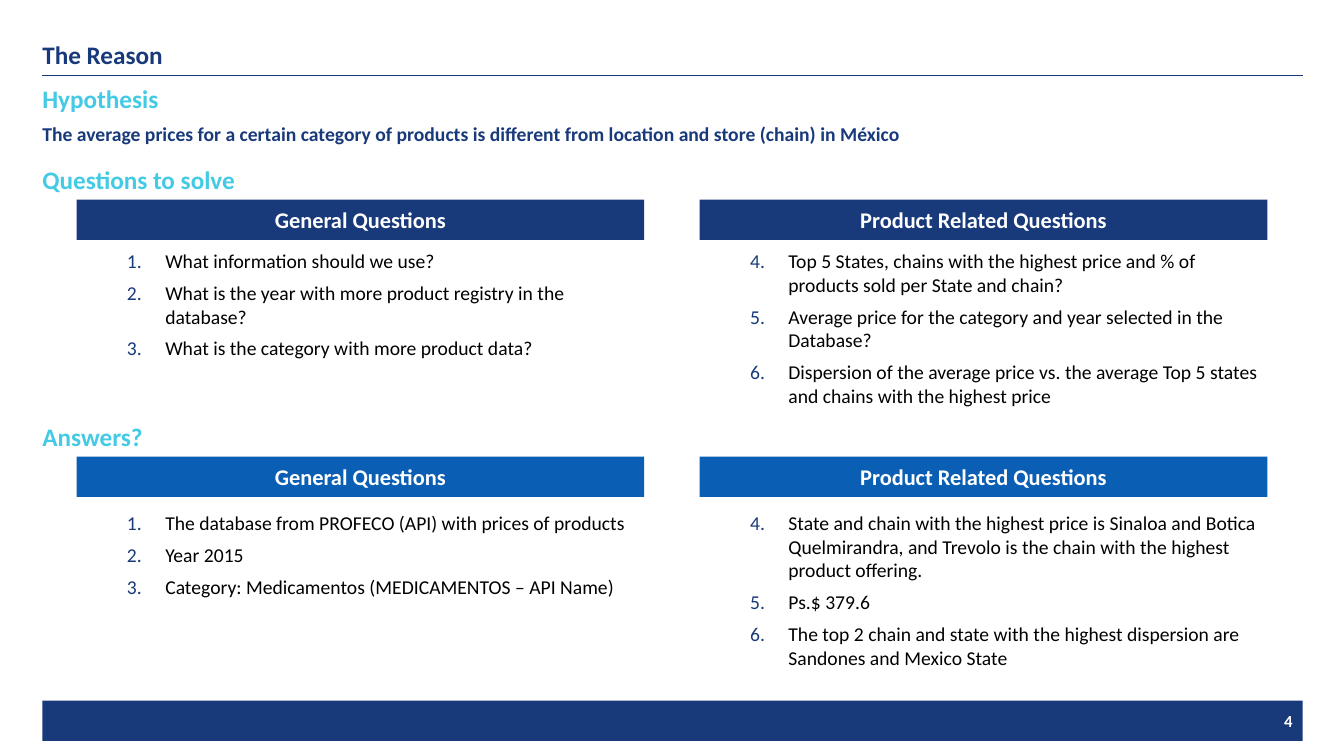
from lxml import etree
from pptx import Presentation
from pptx.dml.color import RGBColor
from pptx.enum.shapes import MSO_CONNECTOR, MSO_SHAPE
from pptx.enum.text import MSO_ANCHOR, MSO_AUTO_SIZE, PP_ALIGN
from pptx.oxml.ns import qn
from pptx.util import Inches, Pt

LEFT, CENTER, RIGHT = PP_ALIGN.LEFT, PP_ALIGN.CENTER, PP_ALIGN.RIGHT
TOP, MIDDLE = MSO_ANCHOR.TOP, MSO_ANCHOR.MIDDLE
RECTANGLE = MSO_SHAPE.RECTANGLE
STRAIGHT = MSO_CONNECTOR.STRAIGHT
NO_AUTOFIT = MSO_AUTO_SIZE.NONE

NAVY = RGBColor(0x18, 0x39, 0x7A)
BLUE = RGBColor(0x0A, 0x5F, 0xB4)
CYAN = RGBColor(0x43, 0xCA, 0xE5)
BLACK = RGBColor(0, 0, 0)
WHITE = RGBColor(255, 255, 255)

MARGIN, WIDTH = 0.42, 12.5
COLUMNS, COLUMN_WIDTH = (0.76, 6.94), 5.63
BAR_HEIGHT = 0.4


class SlideBuilder:
    font = "Calibri"

    def __init__(self, presentation):
        self.slide = presentation.slides.add_slide(presentation.slide_layouts[5])

    def add_run(self, paragraph, text, size, color, bold=True):
        run = paragraph.add_run()
        run.text = text
        run.font.name = self.font
        run.font.size = Pt(size)
        run.font.bold = bold
        run.font.color.rgb = color

    def prepare_frame(self, shape, anchor):
        frame = shape.text_frame
        frame.word_wrap = True
        frame.auto_size = NO_AUTOFIT
        frame.vertical_anchor = anchor
        frame.margin_left = frame.margin_right = 0
        frame.margin_top = frame.margin_bottom = 0
        return frame

    def add_box(self, left, top, width, height, anchor):
        box = self.slide.shapes.add_textbox(
            Inches(left), Inches(top), Inches(width), Inches(height))
        return self.prepare_frame(box, anchor)

    def title(self, text):
        shape = self.slide.shapes.title
        shape.left, shape.top = Inches(MARGIN), Inches(0.34)
        shape.width, shape.height = Inches(WIDTH), Inches(0.4)
        paragraph = self.prepare_frame(shape, MIDDLE).paragraphs[0]
        paragraph.alignment = LEFT
        self.add_run(paragraph, text, 18, NAVY)

    def rule(self, top):
        line = self.slide.shapes.add_connector(
            STRAIGHT, Inches(MARGIN), Inches(top), Inches(MARGIN + WIDTH), Inches(top))
        line.line.color.rgb = NAVY
        line.line.width = Pt(1)
        etree.SubElement(line.element.spPr, qn("a:effectLst"))

    def text(self, text, top, height, size, color, anchor=MIDDLE):
        frame = self.add_box(MARGIN, top, WIDTH, height, anchor)
        self.add_run(frame.paragraphs[0], text, size, color)

    def bar(self, text, left, top, width, fill, size=16, alignment=CENTER):
        shape = self.slide.shapes.add_shape(
            RECTANGLE, Inches(left), Inches(top), Inches(width), Inches(BAR_HEIGHT))
        shape.shadow.inherit = False
        shape.fill.solid()
        shape.fill.fore_color.rgb = fill
        shape.line.fill.background()
        shape.text_frame.vertical_anchor = MIDDLE
        paragraph = shape.text_frame.paragraphs[0]
        paragraph.alignment = alignment
        self.add_run(paragraph, text, size, WHITE)

    def numbered_list(self, items, left, top, height, start):
        frame = self.add_box(left, top, COLUMN_WIDTH, height, TOP)
        for index, item in enumerate(items):
            paragraph = frame.add_paragraph() if index else frame.paragraphs[0]
            paragraph.space_before = paragraph.space_after = Pt(3)
            properties = paragraph._p.get_or_add_pPr()
            properties.set("marL", str(Inches(0.88)))
            properties.set("indent", str(Inches(-0.38)))
            color = etree.SubElement(properties, qn("a:buClr"))
            etree.SubElement(color, qn("a:srgbClr"), val=str(NAVY))
            etree.SubElement(properties, qn("a:buFont"), typeface="+mj-lt")
            etree.SubElement(properties, qn("a:buAutoNum"),
                             type="arabicPeriod", startAt=str(start))
            self.add_run(paragraph, item, 14, BLACK, bold=False)


HEADERS = ("General Questions", "Product Related Questions")
QUESTIONS = (
    ("What information should we use?",
     "What is the year with more product registry in the database?",
     "What is the category with more product data?"),
    ("Top 5 States, chains with the highest price and % of products sold "
     "per State and chain?",
     "Average price for the category and year selected in the Database?",
     "Dispersion of the average price vs. the average Top 5 states and chains "
     "with the highest price"),
)
ANSWERS = (
    ("The database from PROFECO (API) with prices of products",
     "Year 2015",
     "Category: Medicamentos (MEDICAMENTOS – API Name)"),
    ("State and chain with the highest price is Sinaloa and Botica Quelmirandra, "
     "and Trevolo is the chain with the highest product offering.",
     "Ps.$ 379.6",
     "The top 2 chain and state with the highest dispersion are "
     "Sandones and Mexico State"),
)
SECTIONS = (
    ("Questions to solve", 1.63, 1.98, 2.47, 1.77, NAVY, QUESTIONS),
    ("Answers?", 4.18, 4.53, 5.07, 1.45, BLUE, ANSWERS),
)

presentation = Presentation()
presentation.slide_width = Inches(13.33)
presentation.slide_height = Inches(7.5)

builder = SlideBuilder(presentation)
builder.title("The Reason")
builder.rule(0.75)
builder.bar("4", MARGIN, 6.95, WIDTH, NAVY, size=12, alignment=RIGHT)
builder.text("Hypothesis", 0.83, 0.3, 18, CYAN)
builder.text("The average prices for a certain category of products is different "
             "from location and store (chain) in México", 1.21, 0.24, 14, NAVY, TOP)

for heading, heading_top, bar_top, list_top, list_height, fill, lists in SECTIONS:
    builder.text(heading, heading_top, 0.3, 18, CYAN)
    start = 1
    for left, header, items in zip(COLUMNS, HEADERS, lists):
        builder.bar(header, left, bar_top, COLUMN_WIDTH, fill)
        builder.numbered_list(items, left, list_top, list_height, start)
        start += len(items)

presentation.save("out.pptx")
